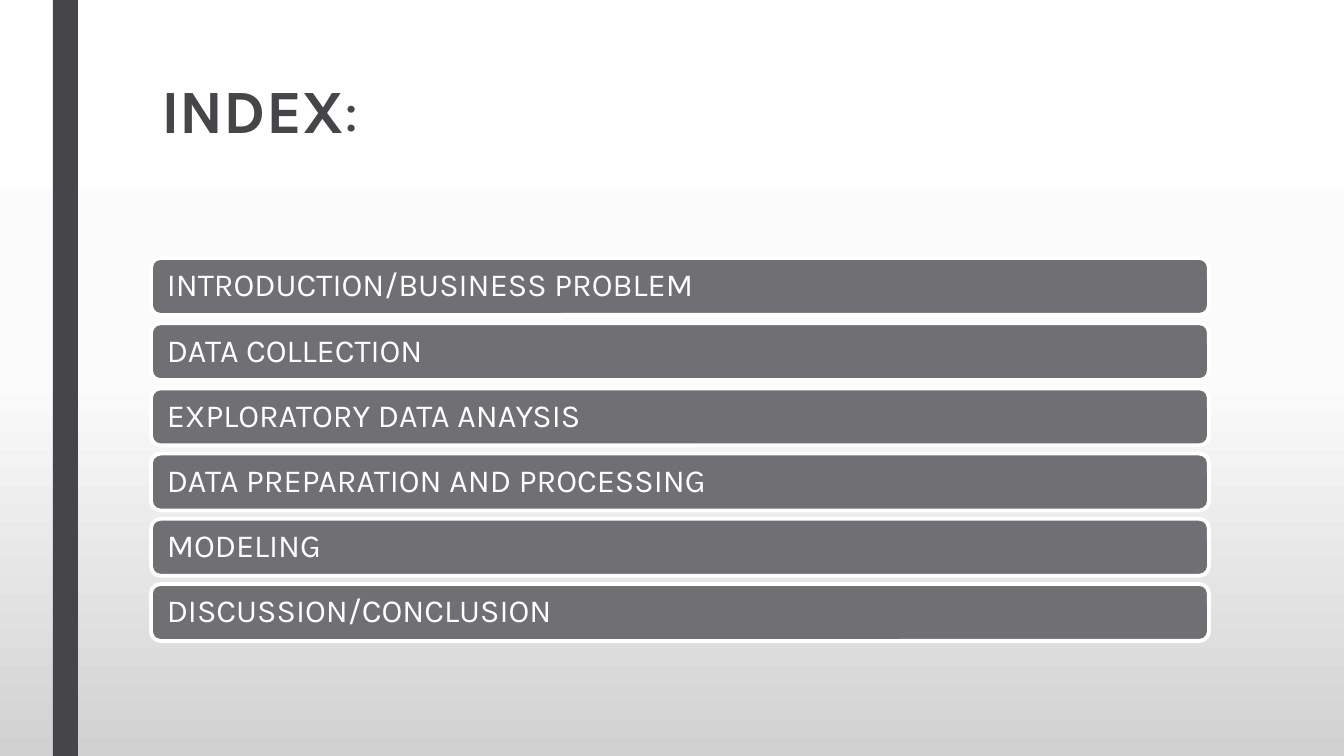
import copy

import pptx
import pptx.dml.color
import pptx.enum.shapes
import pptx.enum.text
import pptx.oxml.ns
import pptx.util

RGBColor = pptx.dml.color.RGBColor
MSO_SHAPE = pptx.enum.shapes.MSO_SHAPE
MSO_ANCHOR = pptx.enum.text.MSO_ANCHOR
PP_ALIGN = pptx.enum.text.PP_ALIGN

# Content
HEADING = [("INDEX", True), (":", False)]
TOPICS = [
    "INTRODUCTION/BUSINESS PROBLEM",
    "DATA COLLECTION",
    "EXPLORATORY DATA ANAYSIS",
    "DATA PREPARATION AND PROCESSING",
    "MODELING",
    "DISCUSSION/CONCLUSION",
]

# Style
FONT = "Karla"
DARK = RGBColor(0x46, 0x46, 0x4A)
GREY = RGBColor(0x6F, 0x6F, 0x74)
WHITE = RGBColor(0xFF, 0xFF, 0xFF)
BACKDROP = [
    (0, WHITE),
    (0.5, RGBColor(0xFB, 0xFB, 0xFB)),
    (1, RGBColor(0xD1, 0xD1, 0xD1)),
]

# Layout in px
WIDTH, HEIGHT = 1344, 756
LEFT, CONTENT_WIDTH = 151, 1058
TOPICS_TOP, TOPICS_BOTTOM, TOPIC_HEIGHT = 258, 641, 57


def px(length):
    return pptx.util.Emu(round(length * 914400 / 100.8))


def style_run(run, size, color, bold=False):
    run.font.name = FONT
    run.font.size = pptx.util.Pt(size)
    run.font.color.rgb = color
    run.font.bold = bold


def set_insets(frame, left, top, right, bottom):
    frame.margin_left, frame.margin_top = px(left), px(top)
    frame.margin_right, frame.margin_bottom = px(right), px(bottom)


def add_block(slide, kind, left, top, width, height, fill):
    block = slide.shapes.add_shape(kind, px(left), px(top), px(width), px(height))
    block.shadow.inherit = False
    block.fill.solid()
    block.fill.fore_color.rgb = fill
    return block


def paint_backdrop(slide):
    fill = slide.background.fill
    fill.gradient()
    fill.gradient_angle = 270
    stop_list = slide.element.find(".//" + pptx.oxml.ns.qn("a:gsLst"))
    stop_list.append(copy.deepcopy(stop_list[0]))
    for stop, (position, color) in zip(fill.gradient_stops, BACKDROP):
        stop.position = position
        stop.color.rgb = color


def add_heading(slide):
    heading = slide.shapes.title
    heading.left, heading.top = px(LEFT), px(76)
    heading.width, heading.height = px(CONTENT_WIDTH), px(163)
    frame = heading.text_frame
    frame.vertical_anchor = MSO_ANCHOR.TOP
    set_insets(frame, 10, 5, 10, 5)
    paragraph = frame.paragraphs[0]
    paragraph.alignment = PP_ALIGN.LEFT
    paragraph.line_spacing = 0.89
    for text, bold in HEADING:
        run = paragraph.add_run()
        run.text = text
        style_run(run, 44, DARK, bold)


def add_topics(slide):
    pitch = (TOPICS_BOTTOM - TOPIC_HEIGHT - TOPICS_TOP) / (len(TOPICS) - 1)
    for index, topic in enumerate(TOPICS):
        bar = add_block(slide, MSO_SHAPE.ROUNDED_RECTANGLE, LEFT,
                        TOPICS_TOP + index * pitch, CONTENT_WIDTH, TOPIC_HEIGHT, GREY)
        bar.line.color.rgb = WHITE
        bar.line.width = pptx.util.Pt(2.75)
        frame = bar.text_frame
        frame.text = topic
        frame.vertical_anchor = MSO_ANCHOR.MIDDLE
        set_insets(frame, 13, 10, 13, 10)
        paragraph = frame.paragraphs[0]
        paragraph.alignment = PP_ALIGN.LEFT
        paragraph.line_spacing = 0.9
        style_run(paragraph.runs[0], 23, WHITE)


def main():
    deck = pptx.Presentation()
    deck.slide_width, deck.slide_height = px(WIDTH), px(HEIGHT)
    slide = deck.slides.add_slide(deck.slide_layouts.get_by_name("Title Only"))
    paint_backdrop(slide)
    # Side stripe
    stripe = add_block(slide, MSO_SHAPE.RECTANGLE, 53, 0, 25, HEIGHT, DARK)
    stripe.line.fill.background()
    add_heading(slide)
    add_topics(slide)
    deck.save("out.pptx")


if __name__ == "__main__":
    main()
